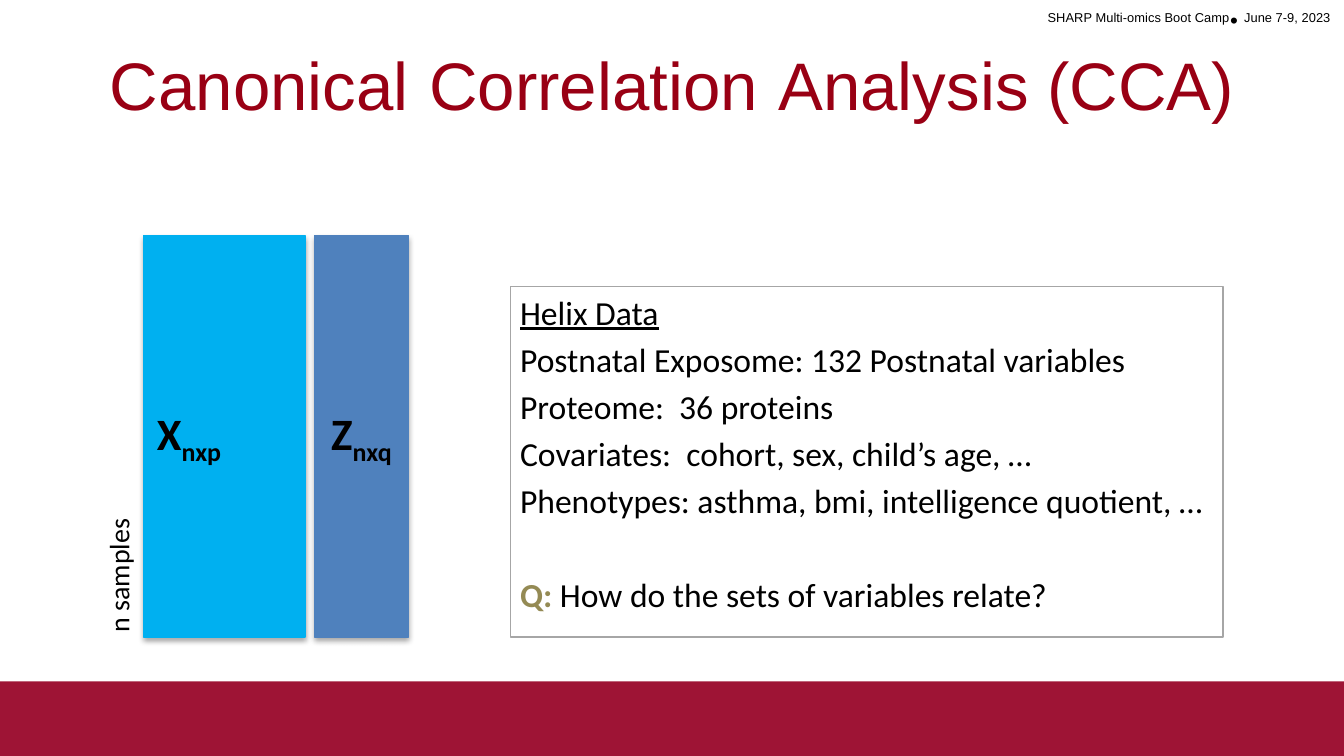
from dataclasses import dataclass, field
from typing import Optional

from lxml.etree import SubElement
from pptx import Presentation
from pptx.dml.color import RGBColor
from pptx.enum.shapes import MSO_SHAPE as Preset
from pptx.enum.text import MSO_ANCHOR as Anchor, PP_ALIGN as Align
from pptx.oxml.ns import qn
from pptx.util import Inches, Pt

BLACK, CRIMSON, TITLE_RED, OLIVE = "000000", "9E1435", "990014", "948A54"


@dataclass
class Run:
    text: str
    format: dict = field(default_factory=dict)
    baseline: int = 0  # percent, negative for subscript


@dataclass
class Line:
    runs: list[Run]
    align: Align = Align.LEFT
    space_before: float = 0
    hanging: float = 0


@dataclass
class Box:
    left: float
    top: float
    width: float
    height: float


@dataclass
class Matrix:
    box: Box
    fill: str
    symbol: str
    size: str
    align: Align


def color(value: str) -> RGBColor:
    return RGBColor.from_string(value)


def write(shape, lines: list[Line], base: dict, frame_format: dict) -> None:
    """Fill a shape with lines; each run adds its format to the base."""
    frame = shape.text_frame
    for name, value in frame_format.items():
        setattr(frame, name, value)
    for index, line in enumerate(lines):
        paragraph = frame.add_paragraph() if index else frame.paragraphs[0]
        paragraph.alignment = line.align
        paragraph.space_before = Pt(line.space_before)
        if line.hanging:
            properties = paragraph._p.get_or_add_pPr()
            properties.set("marL", str(Inches(line.hanging)))
            properties.set("indent", str(-Inches(line.hanging)))
        for item in line.runs:
            run = paragraph.add_run()
            run.text = item.text
            for name, value in {**base, **item.format}.items():
                if name == "color":
                    run.font.color.rgb = color(value)
                else:
                    setattr(run.font, name, value)
            if item.baseline:
                run._r.get_or_add_rPr().set("baseline", str(item.baseline * 1000))


def add_text(slide, box: Box, lines: list[Line], base: dict, **frame_format):
    shape = slide.shapes.add_textbox(*map(Inches, (box.left, box.top, box.width, box.height)))
    write(shape, lines, base, {"word_wrap": True, **frame_format})
    return shape


def add_rectangle(slide, box: Box, fill: Optional[str] = None, line: Optional[str] = None):
    shape = slide.shapes.add_shape(
        Preset.RECTANGLE, *map(Inches, (box.left, box.top, box.width, box.height)))
    shape.shadow.inherit = False
    if fill:
        shape.fill.solid()
        shape.fill.fore_color.rgb = color(fill)
    else:
        shape.fill.background()
    if line:
        shape.line.color.rgb = color(line)
        shape.line.width = Pt(0.75)
    else:
        shape.line.fill.background()
    return shape


def add_shadow(shape) -> None:
    effects = shape._element.spPr.find(qn("a:effectLst"))
    shadow = SubElement(effects, qn("a:outerShdw"), blurRad=str(Pt(3.1)),
                        dist=str(Pt(1.8)), dir="5400000", rotWithShape="0")
    tint = SubElement(shadow, qn("a:srgbClr"), val=BLACK)
    SubElement(tint, qn("a:alpha"), val="35000")


def add_matrix(slide, matrix: Matrix) -> None:
    shape = add_rectangle(slide, matrix.box, matrix.fill, matrix.fill)
    add_shadow(shape)
    label = Line([Run(matrix.symbol), Run(matrix.size, baseline=-25)], matrix.align)
    base = {"name": "Calibri", "size": Pt(24), "bold": True, "color": BLACK}
    write(shape, [label], base, {"vertical_anchor": Anchor.MIDDLE})


def main() -> None:
    presentation = Presentation()
    # Widescreen, 16 to 9
    presentation.slide_width = Inches(10)
    presentation.slide_height = Inches(10) * 9 // 16
    slide = presentation.slides.add_slide(presentation.slide_layouts[6])

    # Footer band and event line
    add_rectangle(slide, Box(0, 5.07, 10.01, 0.57), CRIMSON)
    event = [Run("SHARP Multi-omics Boot Camp", baseline=30), Run("• "),
             Run("June 7-9, 2023", baseline=30)]
    add_text(slide, Box(6.04, 0, 3.96, 0.3), [Line(event, Align.RIGHT)],
             {"name": "Arial", "size": Pt(12), "color": BLACK})

    # Title, with wider spaces between the words
    space = Run(" ", {"size": Pt(39.6), "bold": True, "color": BLACK})
    title = [Run("Canonical"), space, Run("Correlation"), space, Run("Analysis (CCA)")]
    add_text(slide, Box(0.5, 0.23, 9, 0.94), [Line(title, Align.CENTER)],
             {"name": "Arial", "size": Pt(36), "color": TITLE_RED},
             vertical_anchor=Anchor.MIDDLE, margin_bottom=Inches(0.25))

    # Data description
    data = ["Postnatal Exposome: 132 Postnatal variables",
            "Proteome:  36 proteins",
            "Covariates:  cohort, sex, child’s age, …",
            "Phenotypes: asthma, bmi, intelligence quotient, …"]
    question = [Run("Q: ", {"color": OLIVE, "bold": True}),
                Run("How do the sets of variables relate?")]
    lines = [Line([Run("Helix Data", {"underline": True})], hanging=0.28)]
    lines += [Line([Run(text)], space_before=3.6, hanging=0.28) for text in data]
    lines.append(Line(question, space_before=29, hanging=0.28))
    panel = add_rectangle(slide, Box(3.8, 2.13, 5.3, 2.61), line="A6A6A6")
    write(panel, lines, {"name": "Calibri", "size": Pt(18), "color": BLACK},
          {"vertical_anchor": Anchor.TOP, "word_wrap": True,
           "margin_left": Inches(0.07), "margin_right": Inches(0.07),
           "margin_top": Inches(0.04), "margin_bottom": Inches(0.04)})

    # Data matrices sharing their rows
    for matrix in (
        Matrix(Box(1.07, 1.75, 1.2, 2.99), "00B0F0", "X", "nxp", Align.LEFT),
        Matrix(Box(2.34, 1.75, 0.7, 2.99), "4F81BD", "Z", "nxq", Align.CENTER),
    ):
        add_matrix(slide, matrix)
    samples = add_text(slide, Box(0.35, 4.1, 1.06, 0.35), [Line([Run("n samples")])],
                       {"name": "Calibri", "size": Pt(15), "color": BLACK}, word_wrap=False)
    samples.rotation = 270

    presentation.save("out.pptx")


if __name__ == "__main__":
    main()
